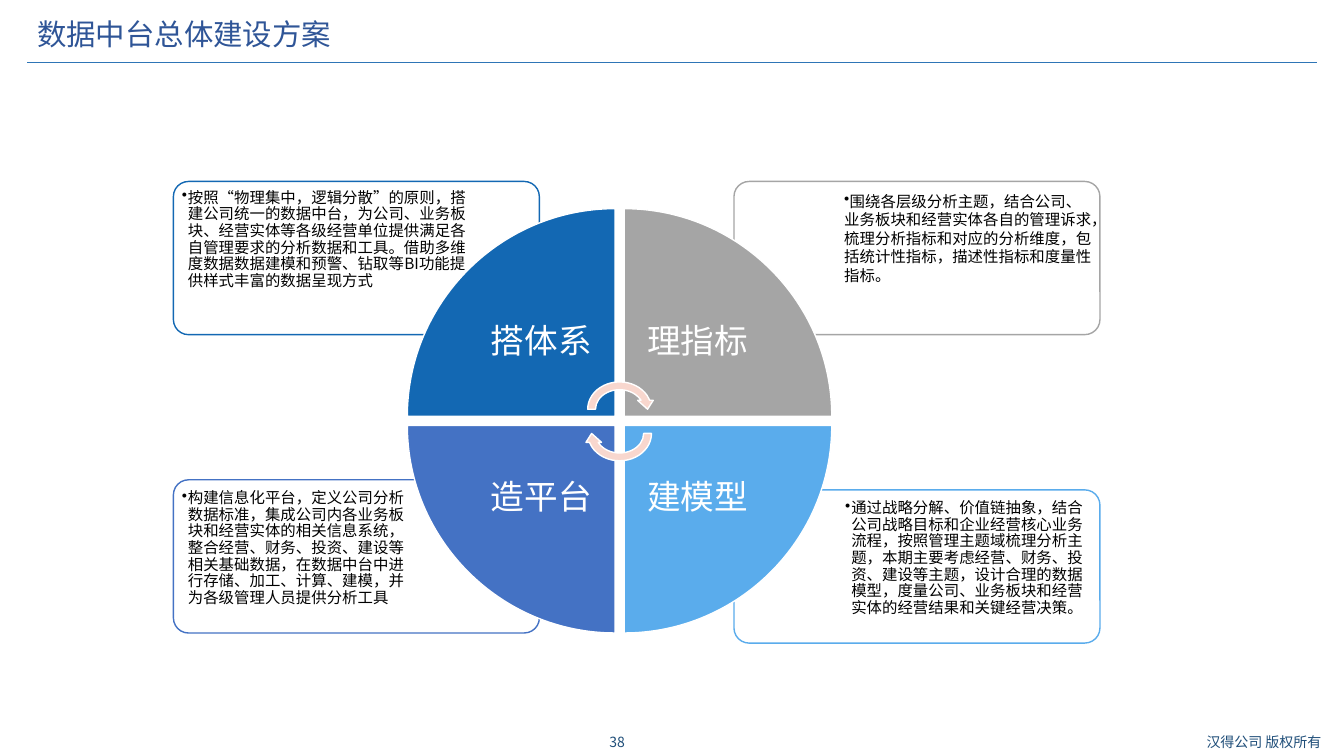
"""Build the slide on the overall construction plan of the data middle platform."""
import dataclasses

import lxml.etree
import pptx
import pptx.dml.color
import pptx.enum.shapes
import pptx.enum.text
import pptx.oxml.ns
import pptx.util

Align = pptx.enum.text.PP_ALIGN
Anchor = pptx.enum.text.MSO_ANCHOR
Preset = pptx.enum.shapes.MSO_SHAPE
qn = pptx.oxml.ns.qn
EMU_PER_PX = 9144


@dataclasses.dataclass(frozen=True)
class Theme:
    font: str = "Noto Sans CJK SC"
    title: str = "2F5597"
    footer: str = "1F4E79"
    rule: str = "2E75B6"
    body: str = "000000"
    white: str = "FFFFFF"
    arrow: str = "F8D7CE"
    system: str = "1368B3"
    metrics: str = "A5A5A5"
    model: str = "5AACEC"
    platform: str = "4472C4"
    title_size: int = 21
    label_size: int = 24
    body_size: int = 11
    footer_size: int = 10


THEME = Theme()


@dataclasses.dataclass(frozen=True)
class Card:
    left: int
    top: int
    insets: tuple[int, int, int, int]
    color: str
    text: str
    hanging: int = 6
    spacing: float = 0.9


@dataclasses.dataclass(frozen=True)
class Quadrant:
    label: str
    color: str
    side_x: int
    side_y: int


@dataclasses.dataclass(frozen=True)
class Caption:
    text: str
    box: tuple[int, int, int, int]
    size: int
    color: str
    align: Align
    anchor: Anchor
    spacing: float


CAPTIONS = [
    Caption("38", (577, 723, 70, 27), THEME.footer_size, THEME.footer,
            Align.CENTER, Anchor.MIDDLE, 1.0),
    Caption("汉得公司 版权所有", (1174, 723, 159, 27), THEME.footer_size, THEME.footer,
            Align.CENTER, Anchor.MIDDLE, 1.0),
    Caption("数据中台总体建设方案", (27, 15, 1157, 42), THEME.title_size, THEME.title,
            Align.LEFT, Anchor.TOP, 0.9),
]

CARD_WIDTH, CARD_HEIGHT, CARD_RADIUS = 363, 152, 15
CARDS = [
    Card(728, 486, (106, 6, 4, 4), THEME.model,
         "通过战略分解、价值链抽象，结合公司战略目标和企业经营核心业务流程，按照管理主题域梳理分析主题，"
         "本期主要考虑经营、财务、投资、建设等主题，设计合理的数据模型，"
         "度量公司、业务板块和经营实体的经营结果和关键经营决策。"),
    Card(172, 476, (4, 6, 116, 4), THEME.platform,
         "构建信息化平台，定义公司分析数据标准，集成公司内各业务板块和经营实体的相关信息系统，"
         "整合经营、财务、投资、建设等相关基础数据，在数据中台中进行存储、加工、计算、建模，"
         "并为各级管理人员提供分析工具"),
    Card(728, 180, (105, 6, 2, 42), THEME.metrics,
         "围绕各层级分析主题，结合公司、业务板块和经营实体各自的管理诉求，"
         "梳理分析指标和对应的分析维度，包括统计性指标，描述性指标和度量性指标。",
         hanging=0, spacing=1.0),
    Card(172, 180, (4, 4, 66, 42), THEME.system,
         "按照“物理集中，逻辑分散”的原则，搭建公司统一的数据中台，"
         "为公司、业务板块、经营实体等各级经营单位提供满足各自管理要求的分析数据和工具。"
         "借助多维度数据数据建模和预警、钻取等BI功能提供样式丰富的数据呈现方式"),
]

RADIUS, ARC_HANDLE = 206, 0.55
INNER_INSET, OUTER_INSET = 19, 79
CORNER_X = {-1: 610, 1: 619}
CORNER_Y = {-1: 413, 1: 422}
QUADRANTS = [
    Quadrant("搭体系", THEME.system, -1, -1),
    Quadrant("理指标", THEME.metrics, 1, -1),
    Quadrant("建模型", THEME.model, 1, 1),
    Quadrant("造平台", THEME.platform, -1, 1),
]
CYCLE_ARROWS = [(375, 0), (399, 180)]


def px(*lengths: int) -> list[pptx.util.Emu]:
    """Turn px lengths into EMU."""
    return [pptx.util.Emu(length * EMU_PER_PX) for length in lengths]


def rgb(color: str) -> pptx.dml.color.RGBColor:
    """Turn a hex string into a colour."""
    return pptx.dml.color.RGBColor.from_string(color)


def paint(shape, fill: str, line: str) -> None:
    """Give a shape a flat fill and a one point outline."""
    shape.shadow.inherit = False
    shape.fill.solid()
    shape.fill.fore_color.rgb = rgb(fill)
    shape.line.color.rgb = rgb(line)
    shape.line.width = pptx.util.Pt(1)


def set_insets(frame, insets: tuple[int, int, int, int]) -> None:
    """Set left, top, right and bottom text margins."""
    (frame.margin_left, frame.margin_top,
     frame.margin_right, frame.margin_bottom) = px(*insets)


def write(frame, text: str, size: int, color: str, align: Align,
          anchor: Anchor, spacing: float) -> None:
    """Fill a text frame with one styled paragraph."""
    frame.word_wrap = True
    frame.vertical_anchor = anchor
    paragraph = frame.paragraphs[0]
    paragraph.text = text
    paragraph.alignment = align
    paragraph.line_spacing = spacing
    font = paragraph.font
    font.size = pptx.util.Pt(size)
    font.color.rgb = rgb(color)
    font.name = THEME.font
    defaults = paragraph._p.pPr.find(qn("a:defRPr"))
    lxml.etree.SubElement(defaults, qn("a:ea")).set("typeface", THEME.font)


def add_bullet(paragraph, hanging: int) -> None:
    """Put a hanging bullet in front of a paragraph."""
    properties = paragraph._p.get_or_add_pPr()
    properties.set("marL", str(hanging * EMU_PER_PX))
    properties.set("indent", str(-hanging * EMU_PER_PX))
    bullet = lxml.etree.Element(qn("a:buChar"))
    bullet.set("char", "•")
    properties.insert(0, bullet)


def draw_caption(slide, caption: Caption) -> None:
    """Draw the title or a footer text."""
    frame = slide.shapes.add_textbox(*px(*caption.box)).text_frame
    write(frame, caption.text, caption.size, caption.color,
          caption.align, caption.anchor, caption.spacing)


def draw_rule(slide) -> None:
    """Draw the line under the title."""
    rule = slide.shapes.add_connector(
        pptx.enum.shapes.MSO_CONNECTOR.STRAIGHT, *px(27, 62, 1306, 62))
    rule.line.color.rgb = rgb(THEME.rule)
    rule.line.width = pptx.util.Pt(0.75)
    lxml.etree.SubElement(rule._element.spPr, qn("a:effectLst"))


def draw_card(slide, card: Card) -> None:
    """Draw a rounded card with its bulleted description."""
    box = slide.shapes.add_shape(
        Preset.ROUNDED_RECTANGLE, *px(card.left, card.top, CARD_WIDTH, CARD_HEIGHT))
    box.adjustments[0] = CARD_RADIUS / CARD_HEIGHT
    paint(box, THEME.white, card.color)
    fill_color = box._element.spPr.find(qn("a:solidFill"))[0]
    lxml.etree.SubElement(fill_color, qn("a:alpha")).set("val", "90000")
    set_insets(box.text_frame, card.insets)
    add_bullet(box.text_frame.paragraphs[0], card.hanging)
    write(box.text_frame, card.text, THEME.body_size, THEME.body, Align.LEFT,
          Anchor.TOP, card.spacing)


def round_off(wedge) -> None:
    """Bend the side opposite the first corner into a quarter circle."""
    points = list(wedge._element.iter(qn("a:pt")))[:3]
    corner, start, end = [(int(point.get("x")), int(point.get("y"))) for point in points]
    curve = points[2].getparent()
    curve.tag = qn("a:cubicBezTo")
    for index, (base, toward) in enumerate([(start, end), (end, start)]):
        handle = lxml.etree.Element(qn("a:pt"))
        for axis, name in enumerate("xy"):
            reach = ARC_HANDLE * (toward[axis] - corner[axis])
            handle.set(name, str(round(base[axis] + reach)))
        curve.insert(index, handle)


def draw_quadrant(slide, quadrant: Quadrant) -> None:
    """Draw a quarter disc with its label near the centre."""
    x, y, radius = px(CORNER_X[quadrant.side_x], CORNER_Y[quadrant.side_y], RADIUS)
    outline = slide.shapes.build_freeform(x, y)
    outline.add_line_segments(
        [(x + quadrant.side_x * radius, y), (x, y + quadrant.side_y * radius)], close=True)
    wedge = outline.convert_to_shape()
    round_off(wedge)
    paint(wedge, quadrant.color, THEME.white)
    left, right = (OUTER_INSET, INNER_INSET)[::-quadrant.side_x]
    top, bottom = (OUTER_INSET, INNER_INSET)[::-quadrant.side_y]
    set_insets(wedge.text_frame, (left, top, right, bottom))
    write(wedge.text_frame, quadrant.label, THEME.label_size, THEME.white,
          Align.CENTER, Anchor.MIDDLE, 0.9)


def draw_cycle_arrow(slide, top: int, rotation: int) -> None:
    """Draw one half of the cycle at the centre of the disc."""
    arrow = slide.shapes.add_shape(Preset.CIRCULAR_ARROW, *px(579, top, 71, 62))
    arrow.rotation = rotation
    paint(arrow, THEME.arrow, THEME.white)


def main() -> None:
    """Build and save the slide."""
    deck = pptx.Presentation()
    deck.slide_width, deck.slide_height = px(1333, 750)
    slide = deck.slides.add_slide(deck.slide_layouts[6])
    for caption in CAPTIONS:
        draw_caption(slide, caption)
    draw_rule(slide)
    for card in CARDS:
        draw_card(slide, card)
    for quadrant in QUADRANTS:
        draw_quadrant(slide, quadrant)
    for top, rotation in CYCLE_ARROWS:
        draw_cycle_arrow(slide, top, rotation)
    deck.save("out.pptx")


if __name__ == "__main__":
    main()
